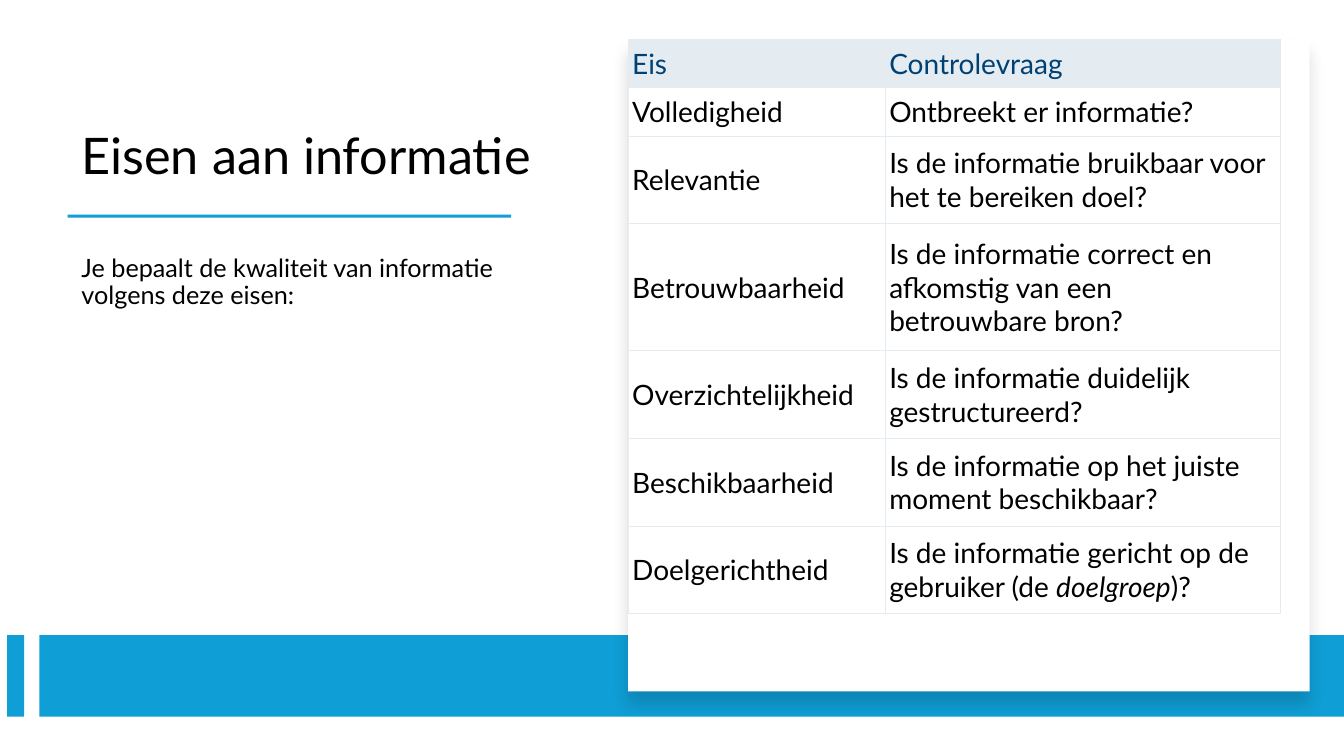
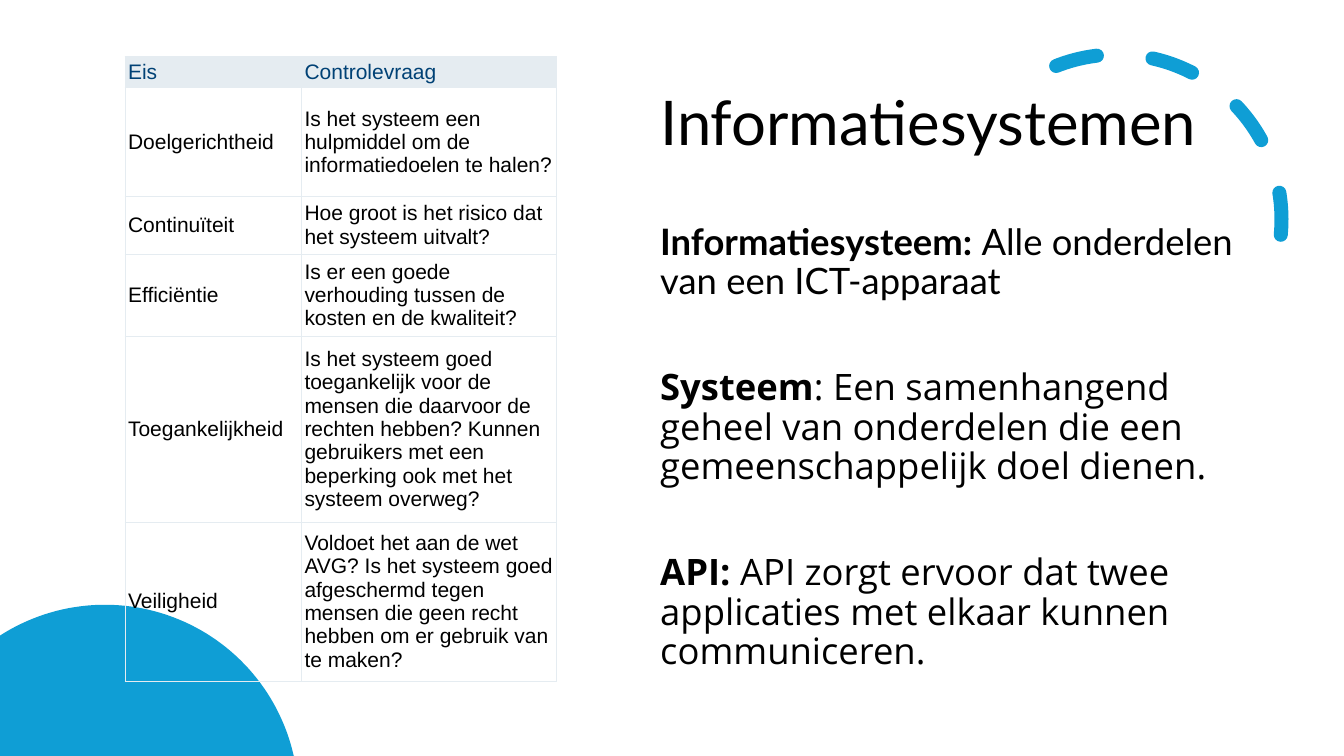
import math
from dataclasses import dataclass

from lxml import etree
from pptx import Presentation
from pptx.dml.color import RGBColor
from pptx.enum.dml import MSO_LINE
from pptx.enum.shapes import MSO_SHAPE
from pptx.enum.text import MSO_ANCHOR
from pptx.oxml.ns import qn
from pptx.util import Inches, Pt

RECT, ARC = MSO_SHAPE.RECTANGLE, MSO_SHAPE.ARC
TOP, MID, LOW = MSO_ANCHOR.TOP, MSO_ANCHOR.MIDDLE, MSO_ANCHOR.BOTTOM
DASH = MSO_LINE.DASH
WIDE, HIGH = 13.33, 7.5


@dataclass(frozen=True)
class Theme:
    blue: str = "0F9ED5"
    navy: str = "004175"
    pale: str = "E5ECF1"
    ink: str = "000000"
    paper: str = "FFFFFF"
    main: str = "Lato"
    open: str = "Open Sans"
    grid: str = "Arial"
    head: int = 36
    big: int = 44
    body: int = 18
    term: int = 26
    cell: int = 20
    small: int = 15
    lead: float = 0.9
    edge: float = 0.5


LOOK = Theme()

NEEDS = [
    ("Eis", "Controlevraag"),
    ("Volledigheid", "Ontbreekt er informatie?"),
    ("Relevantie", "Is de informatie bruikbaar voor het te bereiken doel?"),
    ("Betrouwbaarheid", "Is de informatie correct en afkomstig van een betrouwbare bron?"),
    ("Overzichtelijkheid", "Is de informatie duidelijk gestructureerd?"),
    ("Beschikbaarheid", "Is de informatie op het juiste moment beschikbaar?"),
    ("Doelgerichtheid", [
        ("Is de informatie gericht op de gebruiker (de ", {}),
        ("doelgroep", {"italic": True}),
        (")?", {}),
    ]),
]

CHECKS = [
    ("Eis", "Controlevraag"),
    ("Doelgerichtheid", "Is het systeem een hulpmiddel om de informatiedoelen te halen?"),
    ("Continuïteit", "Hoe groot is het risico dat het systeem uitvalt?"),
    ("Efficiëntie", "Is er een goede verhouding tussen de kosten en de kwaliteit?"),
    ("Toegankelijkheid", "Is het systeem goed toegankelijk voor de mensen die daarvoor de rechten "
     "hebben? Kunnen gebruikers met een beperking ook met het systeem overweg?"),
    ("Veiligheid", "Voldoet het aan de wet AVG? Is het systeem goed afgeschermd tegen mensen "
     "die geen recht hebben om er gebruik van te maken?"),
]

TERMS = [
    ("Informatiesysteem: ", "Alle onderdelen van een ICT-apparaat", LOOK.main),
    ("Systeem", ": Een samenhangend geheel van onderdelen die een gemeenschappelijk doel dienen.",
     LOOK.open),
    ("API: ", "API zorgt ervoor dat twee applicaties met elkaar kunnen communiceren.", LOOK.open),
]


def apply(item, form):
    for key, value in form.items():
        setattr(item, key, value)


def rgb(tone):
    return RGBColor.from_string(tone)


def span(box):
    return [Inches(side) for side in box]


def font(name, size, tone=LOOK.ink):
    return {"name": name, "size": Pt(size), "tone": tone, "bold": False}


def write(para, text, base):
    runs = [(text, {})] if isinstance(text, str) else text
    for words, extra in runs:
        run = para.add_run()
        run.text = words
        form = {**base, **extra}
        run.font.color.rgb = rgb(form.pop("tone"))
        apply(run.font, form)


def label(slide, box, texts, base, anchor=TOP, gap=0):
    frame = slide.shapes.add_textbox(*span(box)).text_frame
    apply(frame, {"word_wrap": True, "vertical_anchor": anchor})
    for rank, text in enumerate(texts):
        para = frame.add_paragraph() if rank else frame.paragraphs[0]
        apply(para, {"line_spacing": LOOK.lead, "space_before": Pt(gap if rank else 0)})
        write(para, text, base)


def paint(shape, tone):
    shape.shadow.inherit = False
    shape.fill.solid()
    shape.fill.fore_color.rgb = rgb(tone)
    shape.line.fill.background()
    return shape


def block(slide, box, tone):
    return paint(slide.shapes.add_shape(RECT, *span(box)), tone)


def card(slide, box):
    shape = block(slide, box, LOOK.paper)
    effect = shape._element.spPr.find(qn("a:effectLst"))
    glow = etree.SubElement(effect, qn("a:outerShdw"), blurRad=str(Pt(11)), dist=str(Pt(10)),
                            dir="5400000", algn="t", rotWithShape="0")
    tint = etree.SubElement(glow, qn("a:srgbClr"), val=LOOK.ink)
    etree.SubElement(tint, qn("a:alpha"), val="15000")


def border(cell):
    props = cell._tc.get_or_add_tcPr()
    for rank, side in enumerate("LRTB"):
        line = etree.Element(qn(f"a:ln{side}"), w=str(Pt(LOOK.edge)))
        fill = etree.SubElement(line, qn("a:solidFill"))
        etree.SubElement(fill, qn("a:srgbClr"), val=LOOK.pale)
        props.insert(rank, line)


def grid(slide, spot, cols, rows, data, base, pad, back=None):
    box = (*spot, sum(cols), sum(rows))
    table = slide.shapes.add_table(len(rows), len(cols), *span(box)).table
    apply(table, {"first_row": False, "horz_banding": False})
    for col, width in zip(table.columns, cols):
        col.width = Inches(width)
    side, rim = span(pad)
    form = {"margin_left": side, "margin_right": side, "margin_top": rim,
            "margin_bottom": rim, "vertical_anchor": MID}
    for rank, (row, height, texts) in enumerate(zip(table.rows, rows, data)):
        row.height = Inches(height)
        tone = back if rank else LOOK.pale
        for cell, text in zip(row.cells, texts):
            apply(cell, form)
            if tone:
                cell.fill.solid()
                cell.fill.fore_color.rgb = rgb(tone)
            else:
                cell.fill.background()
            border(cell)
            write(cell.text_frame.paragraphs[0], text,
                  base if rank else {**base, "tone": LOOK.navy})


def band(slide, box):
    left, top, width, height = box
    stub, start = 0.17, 0.32
    block(slide, (left, top, stub, height), LOOK.blue)
    block(slide, (left + start, top, width - start, height), LOOK.blue)


def ring(slide, box):
    shape = slide.shapes.add_shape(ARC, *span(box))
    shape.shadow.inherit = False
    shape.fill.background()
    shape.adjustments[0] = 144.42
    shape.adjustments[1] = 0
    shape.rotation = 66.1
    shape._element.spPr.xfrm.set("flipH", "1")
    shape.line.color.rgb = rgb(LOOK.blue)
    apply(shape.line, {"width": Pt(10), "dash_style": DASH})
    shape.line._get_or_add_ln().set("cap", "rnd")


def dome(slide, box):
    left, top, width, height = box
    rad, mid = 1.92, 1.04
    start = math.acos(-mid / rad)
    stop = math.asin((rad - height) / rad)
    steps = 60
    turns = [start + (stop - start) * step / steps for step in range(steps + 1)]
    dots = [(left + mid + rad * math.cos(turn), top + rad - rad * math.sin(turn))
            for turn in turns]
    dots += [(left + width, top + height), (left, top + height)]
    form = slide.shapes.build_freeform(*span(dots[0]), scale=1)
    form.add_line_segments([span(dot) for dot in dots[1:]], close=True)
    paint(form.convert_to_shape(), LOOK.blue)


def intro(slide, box):
    left, top, width, height = box
    label(slide, (left, top, width, 1.31), ["Eisen aan informatie"],
          font(LOOK.main, LOOK.head), LOW)
    block(slide, (left - 0.04, top + 1.55, 4.4, 0.03), LOOK.blue)
    label(slide, (left, top + 1.91, width, height - 1.91),
          ["Je bepaalt de kwaliteit van informatie volgens deze eisen:"],
          font(LOOK.main, LOOK.body))


def terms(slide, box):
    left, top, width, height = box
    label(slide, (left, top, width, 1.45), ["Informatiesystemen"],
          font(LOOK.main, LOOK.big), MID)
    texts = [[(term, {"bold": True, "name": face}), (text, {"name": face})]
             for term, text, face in TERMS]
    label(slide, (left, top + 1.65, width, height - 1.65), texts,
          font(LOOK.main, LOOK.term), gap=48)


def needs(slide):
    intro(slide, (0.71, 0.58, 4.68, 3.11))
    band(slide, (0.07, 6.3, WIDE - 0.07, 0.81))
    card(slide, (6.23, 0.39, 6.76, 6.47))
    grid(slide, (6.23, 0.39), [2.55, 3.92], [0.48, 0.48, 0.87, 1.26] + [0.87] * 3,
         NEEDS, font(LOOK.main, LOOK.cell), (0.04, 0.02), LOOK.paper)


def checks(slide):
    ring(slide, (9.44, 0.54, 3.27, 3.27))
    dome(slide, (0, 6, 2.92, 1.5))
    terms(slide, (6.45, 0.52, 5.97, 6.23))
    grid(slide, (1.24, 0.56), [1.75, 2.53], [0.31, 1.08, 0.57, 0.82, 1.84, 1.58],
         CHECKS, font(LOOK.grid, LOOK.small), (0.03, 0.01))


def main():
    deck = Presentation()
    apply(deck, {"slide_width": Inches(WIDE), "slide_height": Inches(HIGH)})
    for build in (needs, checks):
        build(deck.slides.add_slide(deck.slide_layouts[6]))
    deck.save("out.pptx")


if __name__ == "__main__":
    main()
